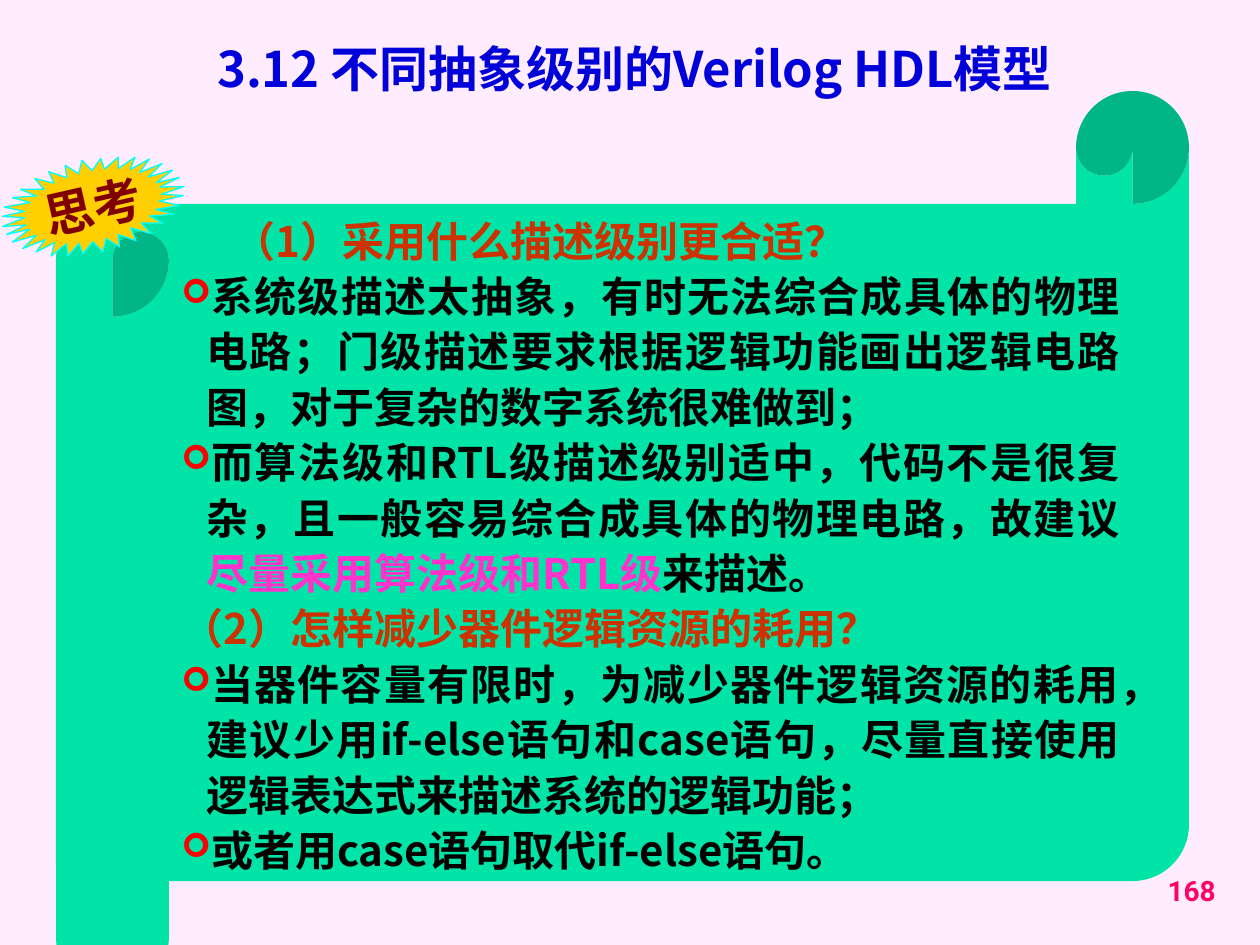
import math
from lxml import etree
from pptx import Presentation
from pptx import util as u
from pptx.dml.color import RGBColor
from pptx.enum import shapes, text
from pptx.oxml import ns

PX = u.Inches(10) // 1260
SANS = "Noto Sans CJK SC"
BODY = "Noto Sans CJK JP"


def paint(run, size, color, face, asian):
    font = run.font
    font.size, font.bold, font.name = u.Pt(size), True, face
    font.color.rgb = RGBColor.from_string(color)
    etree.SubElement(run._r.get_or_add_rPr(), ns.qn("a:ea")).set("typeface", asian)


def add(parent, tag, **attrs):
    node = etree.SubElement(parent, ns.qn(tag))
    for key, val in attrs.items():
        node.set(key, str(val))
    return node


deck = Presentation()
deck.slide_width, deck.slide_height = 1260 * PX, 945 * PX
slide = deck.slides.add_slide(deck.slide_layouts[5])
fill = slide.background.fill
fill.solid()
fill.fore_color.rgb = RGBColor.from_string("FFEDFF")

page = slide.shapes.add_textbox(966 * PX, 850 * PX, 262 * PX, 63 * PX)
frame = page.text_frame
frame.word_wrap = True
frame.vertical_anchor = text.MSO_ANCHOR.BOTTOM
frame.text = "168"
frame.paragraphs[0].alignment = text.PP_ALIGN.RIGHT
paint(frame.paragraphs[0].runs[0], 16, "FF0066", "Roboto", "Roboto")

title = slide.shapes.title
title.left, title.top, title.width, title.height = 99 * PX, 11 * PX, 1071 * PX, 93 * PX
frame = title.text_frame
frame.text = "3.12 不同抽象级别的Verilog HDL模型"
frame.vertical_anchor = text.MSO_ANCHOR.BOTTOM
frame.paragraphs[0].alignment = text.PP_ALIGN.CENTER
paint(frame.paragraphs[0].runs[0], 28, "0000D8", SANS, SANS)

scroll = slide.shapes.add_shape(
    shapes.MSO_SHAPE.HORIZONTAL_SCROLL, 56 * PX, 91 * PX, 1133 * PX, 903 * PX)
scroll.adjustments[0] = 0.125
scroll.shadow.inherit = False
scroll.fill.solid()
scroll.fill.fore_color.rgb = RGBColor.from_string("00E4A8")
scroll.line.fill.background()
frame = scroll.text_frame
frame.word_wrap = True
frame.vertical_anchor = text.MSO_ANCHOR.MIDDLE

RED, INK, PINK = "CC3300", "000000", "FF33CC"
points = [
    (77, False, [("（1）采用什么描述级别更合适？", RED)]),
    (25, True, [("系统级描述太抽象，有时无法综合成具体的物理电路；门级描述要求根据逻辑功能画出"
                 "逻辑电路图，对于复杂的数字系统很难做到；", INK)]),
    (25, True, [("而算法级和RTL级描述级别适中，代码不是很复杂，且一般容易综合成具体的物理电路，"
                 "故建议", INK), ("尽量采用算法级和RTL级", PINK), ("来描述。", INK)]),
    (25, False, [("（2）怎样减少器件逻辑资源的耗用？", RED)]),
    (25, True, [("当器件容量有限时，为减少器件逻辑资源的耗用，建议少用if-else语句和case语句，"
                 "尽量直接使用逻辑表达式来描述系统的逻辑功能；", INK)]),
    (25, True, [("或者用case语句取代if-else语句。", INK)]),
]
for i, (indent, mark, parts) in enumerate(points):
    para = frame.add_paragraph() if i else frame.paragraphs[0]
    props = para._p.get_or_add_pPr()
    props.set("marL", str(indent * PX))
    props.set("indent", str(-25 * PX))
    if mark:
        add(add(props, "a:buClr"), "a:srgbClr", val="FF0000")
        add(props, "a:buSzPct", val=80000)
        add(props, "a:buFont", typeface="Wingdings")
        add(props, "a:buChar", char="➢")
    para.alignment = text.PP_ALIGN.JUSTIFY
    para.line_spacing = 1.1
    for words, color in parts:
        run = para.add_run()
        run.text = words
        paint(run, 24, color, BODY, BODY)

rim = [
    (2, 180), (21, 179), (5, 187), (24, 183), (10, 193), (29, 188), (18, 198), (36, 191),
    (29, 201), (44, 193), (41, 204), (53, 194), (54, 204), (64, 194), (67, 203), (75, 193),
    (83, 201), (85, 190), (96, 197), (95, 187), (109, 192), (105, 182), (121, 186), (113, 178),
    (131, 178), (120, 172), (139, 171), (125, 167), (144, 163), (128, 160), (147, 156),
    (129, 155), (147, 148), (128, 149), (144, 141), (125, 145), (138, 135), (119, 140),
    (130, 130), (112, 137), (120, 126), (104, 135), (108, 124), (95, 134), (95, 124),
    (84, 134), (81, 125), (74, 135), (66, 127), (63, 138), (52, 131), (53, 141), (39, 136),
    (43, 145), (28, 142), (35, 150), (17, 150), (29, 156), (10, 157), (24, 161), (4, 165),
    (20, 168), (2, 172), (20, 173),
]
turn = math.radians(12.8)
cos, sin = math.cos(turn), math.sin(turn)
flat = [(74 + (x - 74) * cos - (y - 163.5) * sin,
         163.5 + (x - 74) * sin + (y - 163.5) * cos) for x, y in rim]
build = slide.shapes.build_freeform(*flat[0], scale=u.Inches(0.01))
build.add_line_segments(flat[1:], close=True)
burst = build.convert_to_shape()
burst.left, burst.top, burst.width, burst.height = 0, 159 * PX, 186 * PX, 94 * PX
burst.rotation = 347.2
burst.shadow.inherit = False
burst.fill.solid()
burst.fill.fore_color.rgb = RGBColor.from_string("FFCF01")
burst.line.color.rgb = RGBColor.from_string("00FFFF")
burst.line.width = u.Pt(0.75)
frame = burst.text_frame
frame.word_wrap = False
frame.vertical_anchor = text.MSO_ANCHOR.MIDDLE
frame.text = "思考"
frame.paragraphs[0].alignment = text.PP_ALIGN.CENTER
paint(frame.paragraphs[0].runs[0], 28, "800000", "Times New Roman", SANS)

deck.save("out.pptx")
